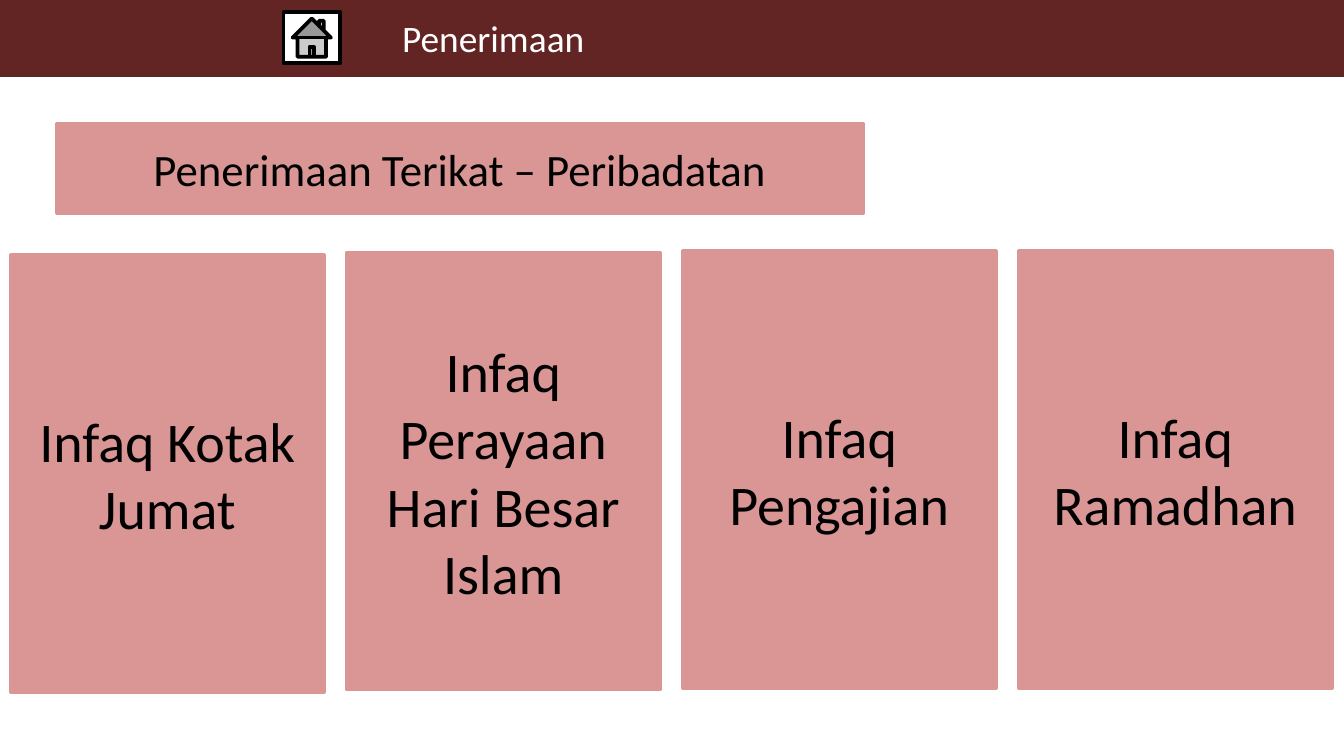
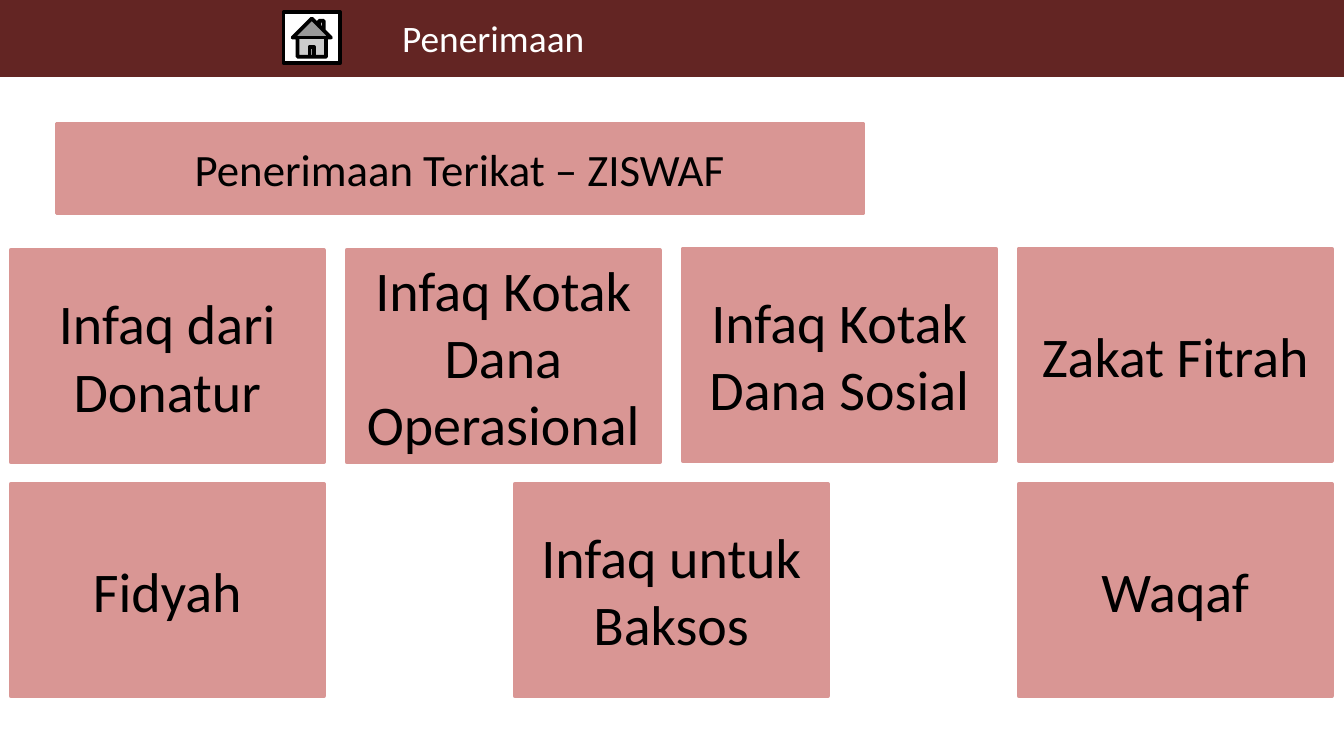
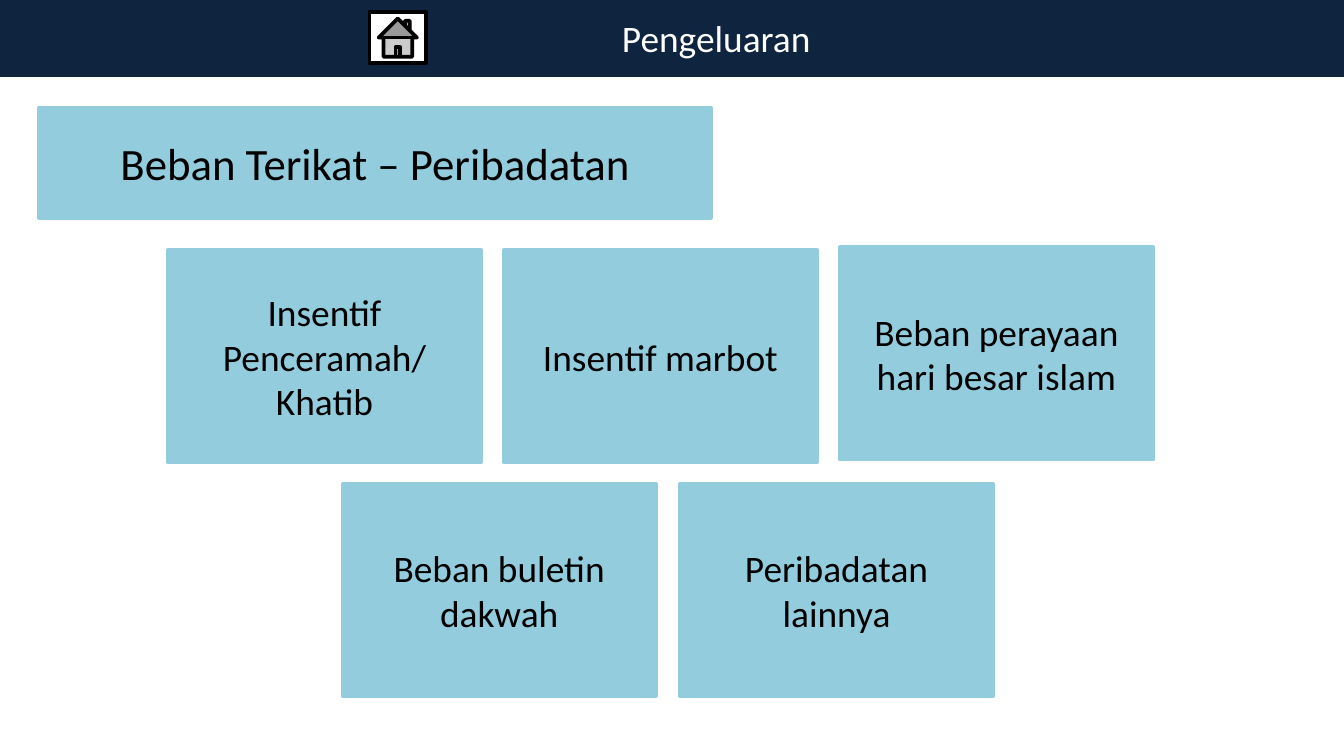
from dataclasses import dataclass

from pptx import Presentation
from pptx.dml.color import RGBColor
from pptx.enum.shapes import MSO_SHAPE as Preset
from pptx.enum.text import MSO_ANCHOR as Anchor, MSO_AUTO_SIZE as AutoSize, PP_ALIGN as Align
from pptx.util import Inches, Pt


@dataclass(frozen=True)
class Theme:
    """Colours, font and type sizes of the deck."""
    font: str = "Calibri"
    white: str = "FFFFFF"
    black: str = "000000"
    income_band: str = "632523"
    income_card: str = "D99694"
    expense_band: str = "0F243E"
    expense_card: str = "93CDDD"
    title_size: int = 20
    heading_size: int = 24
    large_size: int = 30
    small_size: int = 20
    line_width: int = 2


@dataclass(frozen=True)
class Box:
    """Place and size in inches."""
    left: float
    top: float
    width: float
    height: float


@dataclass(frozen=True)
class Section:
    """Header, heading and card formats shared by a kind of slide."""
    title: str
    band: str
    card: str
    title_left: float
    home_left: float
    heading: Box
    card_size: int


@dataclass(frozen=True)
class CardRow:
    """Equally spaced cards, with the drop of each below the row top."""
    first: Box
    step: float
    labels: tuple
    drops: tuple = ()


THEME = Theme()
BAND = Box(0, 0, 10, 0.56)
INCOME = Section("Penerimaan", THEME.income_band, THEME.income_card, 2.67, 2.11,
                 Box(0.42, 0.92, 6, 0.67), THEME.large_size)
EXPENSE = Section("Pengeluaran", THEME.expense_band, THEME.expense_card, 4.33, 2.75,
                  Box(0.29, 0.8, 5, 0.82), THEME.small_size)
CARD_WIDTH, TALL, SHORT = 2.33, 3.25, 1.58
CARD_STEP = 2.5
LOWER_TOP = 3.6


def place(shape, box):
    """Move and size a shape to its box."""
    shape.left, shape.top = Inches(box.left), Inches(box.top)
    shape.width, shape.height = Inches(box.width), Inches(box.height)


def write_text(shape, text, *, size, color=THEME.black, anchor=Anchor.MIDDLE):
    """Fill a shape with centred text, one paragraph per line."""
    frame = shape.text_frame
    frame.text = text
    frame.word_wrap = True
    frame.auto_size = AutoSize.NONE
    frame.vertical_anchor = anchor
    for para in frame.paragraphs:
        para.alignment = Align.CENTER
        for span in para.runs:
            span.font.name = THEME.font
            span.font.size = Pt(size)
            span.font.color.rgb = RGBColor.from_string(color)


def add_block(page, box, fill, line=None, preset=Preset.RECTANGLE):
    """Add a flat filled shape whose outline defaults to its fill."""
    shape = page.shapes.add_shape(preset, 0, 0, 0, 0)
    place(shape, box)
    shape.shadow.inherit = False
    shape.fill.solid()
    shape.fill.fore_color.rgb = RGBColor.from_string(fill)
    shape.line.color.rgb = RGBColor.from_string(line or fill)
    shape.line.width = Pt(THEME.line_width)
    return shape


def add_header(page, section, box):
    """Draw the band with its title and home button."""
    add_block(page, box, section.band)
    title = page.shapes.title
    page.shapes.element.append(title.element)
    place(title, Box(section.title_left, box.top + 0.06, 2, 0.44))
    write_text(title, section.title, size=THEME.title_size, color=THEME.white, anchor=Anchor.TOP)
    add_block(page, Box(section.home_left, box.top + 0.09, 0.42, 0.38),
              THEME.white, THEME.black, Preset.ACTION_BUTTON_HOME)


def add_cards(page, section, row):
    """Draw one row of labelled cards."""
    first = row.first
    drops = row.drops or (0,) * len(row.labels)
    for index, (label, drop) in enumerate(zip(row.labels, drops)):
        box = Box(first.left + index * row.step, first.top + drop, first.width, first.height)
        card = add_block(page, box, section.card)
        write_text(card, label, size=section.card_size)


def add_page(deck, section, heading, rows):
    """Add a slide with header, heading and rows of cards."""
    page = deck.slides.add_slide(deck.slide_layouts[5])
    add_header(page, section, BAND)
    write_text(add_block(page, section.heading, section.card), heading, size=THEME.heading_size)
    for row in rows:
        add_cards(page, section, row)


def main():
    """Build and save the deck."""
    deck = Presentation()
    deck.slide_width = Inches(10)
    deck.slide_height = deck.slide_width * 9 // 16
    add_page(deck, INCOME, "Penerimaan Terikat – Peribadatan", [
        CardRow(Box(0.08, 1.87, CARD_WIDTH, TALL), CARD_STEP,
                ("Infaq Kotak Jumat", "Infaq Perayaan Hari Besar Islam",
                 "Infaq Pengajian", "Infaq Ramadhan"), (0.03, 0.01, 0, 0)),
    ])
    add_page(deck, INCOME, "Penerimaan Terikat – ZISWAF", [
        CardRow(Box(0.08, 1.85, CARD_WIDTH, SHORT), CARD_STEP,
                ("Infaq dari Donatur", "Infaq Kotak Dana Operasional",
                 "Infaq Kotak Dana Sosial", "Zakat Fitrah"), (0.01, 0.01, 0, 0)),
        CardRow(Box(0.08, LOWER_TOP, CARD_WIDTH, SHORT), CARD_STEP * 1.5,
                ("Fidyah", "Infaq untuk Baksos", "Waqaf")),
    ])
    add_page(deck, EXPENSE, "Beban Terikat – Peribadatan", [
        CardRow(Box(1.25, 1.84, CARD_WIDTH, SHORT), CARD_STEP,
                ("Insentif Penceramah/\nKhatib", "Insentif marbot",
                 "Beban perayaan hari besar islam"), (0.02, 0.02, 0)),
        CardRow(Box(2.55, LOWER_TOP, CARD_WIDTH, SHORT), 2.51,
                ("Beban buletin dakwah", "Peribadatan lainnya")),
    ])
    deck.save("out.pptx")


if __name__ == "__main__":
    main()
